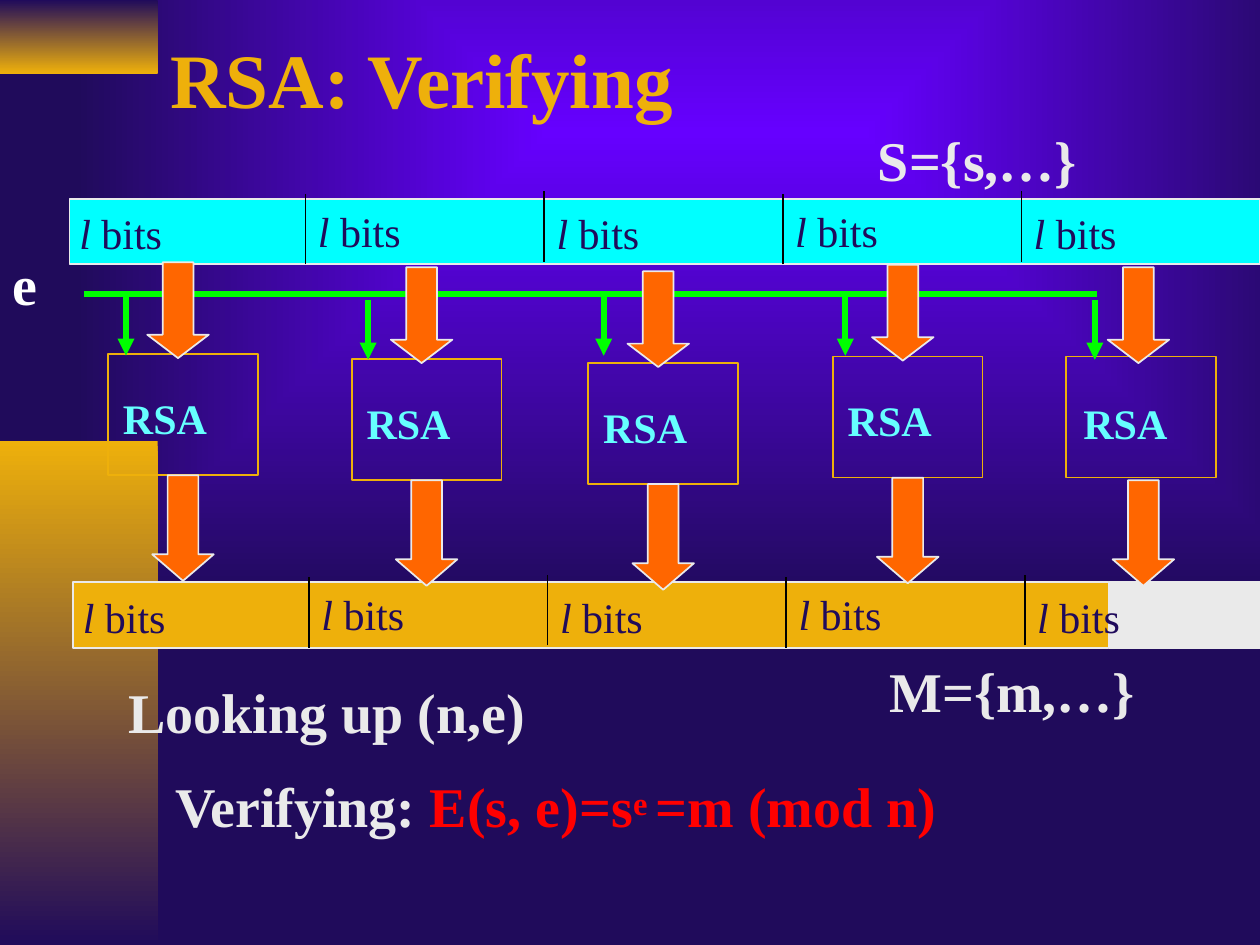
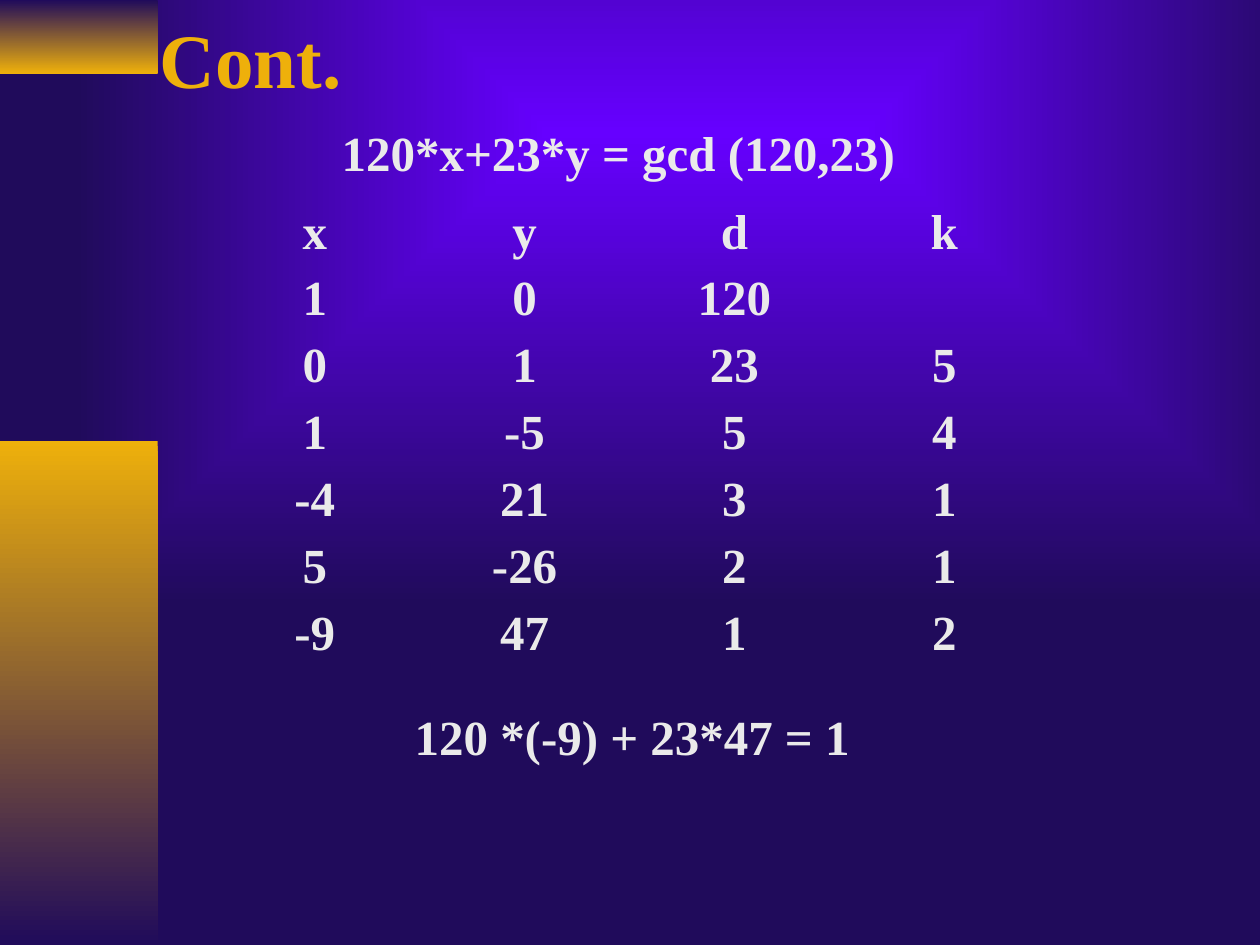
from lxml import etree
from pptx import Presentation
from pptx.dml.color import RGBColor
from pptx.enum.shapes import MSO_CONNECTOR, MSO_SHAPE
from pptx.enum.text import MSO_ANCHOR, PP_ALIGN
from pptx.oxml.ns import qn
from pptx.util import Cm, Pt

RECT, DOWN = MSO_SHAPE.RECTANGLE, MSO_SHAPE.DOWN_ARROW
LINE = MSO_CONNECTOR.STRAIGHT
MIDDLE, CENTER = MSO_ANCHOR.MIDDLE, PP_ALIGN.CENTER
COLOR = {
    "violet": "6600FF", "navy": "200B5B", "gold": "EEB00B", "pale": "EAEAEA",
    "cyan": "00FFFF", "sky": "66FFFF", "orange": "FF6600", "green": "00FF00",
    "red": "FF0000", "black": "000000", "white": "FFFFFF",
}
FONT = "Times New Roman"
TITLE = {"size": 44, "bold": True, "color": "gold"}
BODY = {"size": 32, "bold": True, "color": "pale"}
MATH = {"size": 28, "bold": True, "color": "pale"}
LABEL = {"size": 24, "color": "navy"}
CIPHER = {"size": 24, "bold": True, "color": "sky"}
PLAIN_STYLE = "{2D5ABB26-0587-4C30-8999-92F81FD0307C}"

CELLS, PITCH = 5, 4.81
# left and top of each lane, nudge of the parts in it
LANES = [(2.18, 7.14, 0), (7.09, 7.24, 0), (11.86, 7.32, 0),
         (16.79, 7.19, 0), (21.49, 7.19, 0.05)]
TAPS = [(2.54, 5.97), (7.42, 6.05), (12.17, 5.97), (17.04, 5.97), (22.07, 6.05)]
EUCLID = [
    ["x", "y", "d", "k"],
    ["1", "0", "120", ""],
    ["0", "1", "23", "5"],
    ["1", "-5", "5", "4"],
    ["-4", "21", "3", "1"],
    ["5", "-26", "2", "1"],
    ["-9", "47", "1", "2"],
]


def rgb(name):
    return RGBColor.from_string(COLOR[name])


def style(font, form):
    """Set font attributes from a dict of format values."""
    font.name = FONT
    for key, value in form.items():
        if key == "color":
            font.color.rgb = rgb(value)
        elif key == "raise":
            font._element.set("baseline", str(value * 1000))
        else:
            setattr(font, key, Pt(value) if key == "size" else value)


def blend(fill, first, last):
    """Make a two-stop gradient fill and return its XML."""
    fill.gradient()
    for stop, name in zip(fill.gradient_stops, (first, last)):
        stop.color.rgb = rgb(name)
    return fill._xPr.find(qn("a:gradFill"))


def text(slide, box, runs, form, wrap=True, anchor=None):
    """Add a text box; runs is a list of (words, format changes)."""
    frame = slide.shapes.add_textbox(*map(Cm, box)).text_frame
    frame.word_wrap = wrap
    if anchor is not None:
        frame.vertical_anchor = anchor
    for words, change in runs:
        run = frame.paragraphs[0].add_run()
        run.text = words
        style(run.font, {**form, **change})


def shape(slide, kind, box, fill=None, line=None):
    item = slide.shapes.add_shape(kind, *map(Cm, box))
    item.shadow.inherit = False
    if fill:
        item.fill.solid()
        item.fill.fore_color.rgb = rgb(fill)
    else:
        item.fill.background()
    if line:
        item.line.color.rgb = rgb(line)
        item.line.width = Pt(1)
    else:
        item.line.fill.background()
    return item


def rule(slide, ends, color, width, head=False):
    """Add a straight line, with an arrowhead at its end if asked."""
    item = slide.shapes.add_connector(LINE, *map(Cm, ends))
    item.line.color.rgb = rgb(color)
    item.line.width = Pt(width)
    if head:
        etree.SubElement(item.line._get_or_add_ln(), qn("a:tailEnd"), type="triangle")
    etree.SubElement(item._element.spPr, qn("a:effectLst"))


def glow(master):
    """Give the master a rectangular gradient around a bright spot."""
    grad = blend(master.background.fill, "violet", "navy")
    grad.remove(grad.find(qn("a:lin")))
    path = etree.SubElement(grad, qn("a:path"), {"path": "shape"})
    sides = {"l": "14000", "t": "6000", "r": "1000", "b": "78000"}
    etree.SubElement(path, qn("a:fillToRect"), sides)


def frame(deck, title, box):
    """Add a slide with the two side bars and its title."""
    slide = deck.slides.add_slide(deck.slide_layouts[6])
    bars = [((0, 0, 3.18, 1.48), "navy", "gold"),
            ((0, 8.89, 3.18, 10.16), "gold", "navy")]
    for area, first, last in bars:
        bar = shape(slide, RECT, area)
        blend(bar.fill, first, last)
        bar.fill.gradient_angle = 270
    text(slide, box, [(title, {})], TITLE, anchor=MIDDLE)
    return slide


def band(slide, x, y, parts):
    """Draw a row of blocks; parts lists (width, fill) from the left."""
    left = x + 0.05
    for width, fill in parts:
        shape(slide, RECT, (left, y + 0.15, width, 1.32), fill, "pale")
        left += width
    for i in range(CELLS):
        lift = 0.05 * (i % 2)
        cell = x + i * PITCH
        text(slide, (cell, y + 0.2 - lift, 4.8, 1.27),
             [("l", {"italic": True}), (" bits", {})], LABEL)
        if i:
            top = y + lift
            rule(slide, (cell, top + 1.42, cell, top), "black", 1)


def lane(slide, x, y, nudge):
    """Draw one RSA box with the arrows into and out of it."""
    shape(slide, RECT, (x, y, 3.02, 2.44), line="gold")
    x, y = x + nudge, y + nudge
    text(slide, (x + 0.05, y + 0.64, 3.07, 1.27), [("RSA", {})], CIPHER)
    for dx, dy, height, tip in ((0.79, -1.85, 1.93, 0.38), (0.89, 2.44, 2.13, 0.43)):
        arrow = shape(slide, DOWN, (x + dx, y + dy, 1.24, height), "orange", "pale")
        arrow.adjustments[1] = tip


def verify(deck):
    slide = frame(deck, "RSA: Verifying", (3.18, 0.69, 22.22, 1.75))
    rule(slide, (1.7, 5.92, 22.12, 5.92), "green", 3.25)
    band(slide, 1.35, 3.86, [(24, "cyan")])
    band(slide, 1.42, 11.59, [(20.88, "gold"), (3.07, "pale")])
    for place in LANES:
        lane(slide, *place)
    for x, y in TAPS:
        rule(slide, (x, y, x, y + 1.2), "green", 3.25, head=True)
    text(slide, (0, 4.9, 1.02, 1.6), [("e", {"color": "white"})], BODY, wrap=False)
    notes = [((17.45, 2.41, 7.11, 1.6), "S={s,…}"),
             ((17.68, 13.11, 7.09, 1.6), "M={m,…}"),
             ((2.34, 13.54, 10.36, 1.6), "Looking up (n,e)")]
    for box, words in notes:
        text(slide, box, [(words, {})], BODY)
    red = {"color": "red"}
    text(slide, (3.28, 15.42, 22.12, 1.6),
         [("Verifying: ", {}), ("E(s, e)=s", red),
          ("e ", {**red, "raise": 20}), ("=m (mod n)", red)], BODY)


def grid(slide, x, y, rows, wide, high):
    """Add a plain table of centred values."""
    count = len(rows[0])
    table = slide.shapes.add_table(len(rows), count, Cm(x), Cm(y), Cm(wide * count),
                                   Cm(high * len(rows))).table
    table._tbl.tblPr.find(qn("a:tableStyleId")).text = PLAIN_STYLE
    table.first_row = table.horz_banding = False
    for r, row in enumerate(rows):
        for c, value in enumerate(row):
            cell = table.cell(r, c)
            cell.fill.background()
            cell.margin_top = cell.margin_bottom = 0
            cell.vertical_anchor = MIDDLE
            par = cell.text_frame.paragraphs[0]
            par.alignment = CENTER
            style(par.font, MATH)
            if value:
                run = par.add_run()
                run.text = value
                style(run.font, MATH)


def cont(deck):
    slide = frame(deck, "Cont.", (2.97, 0, 22.43, 2.34))
    grid(slide, 4.23, 4.01, EUCLID, 4.23, 1.35)
    text(slide, (6.64, 2.34, 14, 1.4), [("120*x+23*y = gcd (120,23)", {})], MATH)
    text(slide, (8.11, 14.11, 12, 1.4), [("120 *(-9) + 23*47 = 1", {})], MATH)


def main():
    deck = Presentation()
    deck.slide_width, deck.slide_height = Cm(25.4), Cm(19.05)
    glow(deck.slide_master)
    verify(deck)
    cont(deck)
    deck.save("out.pptx")


if __name__ == "__main__":
    main()
